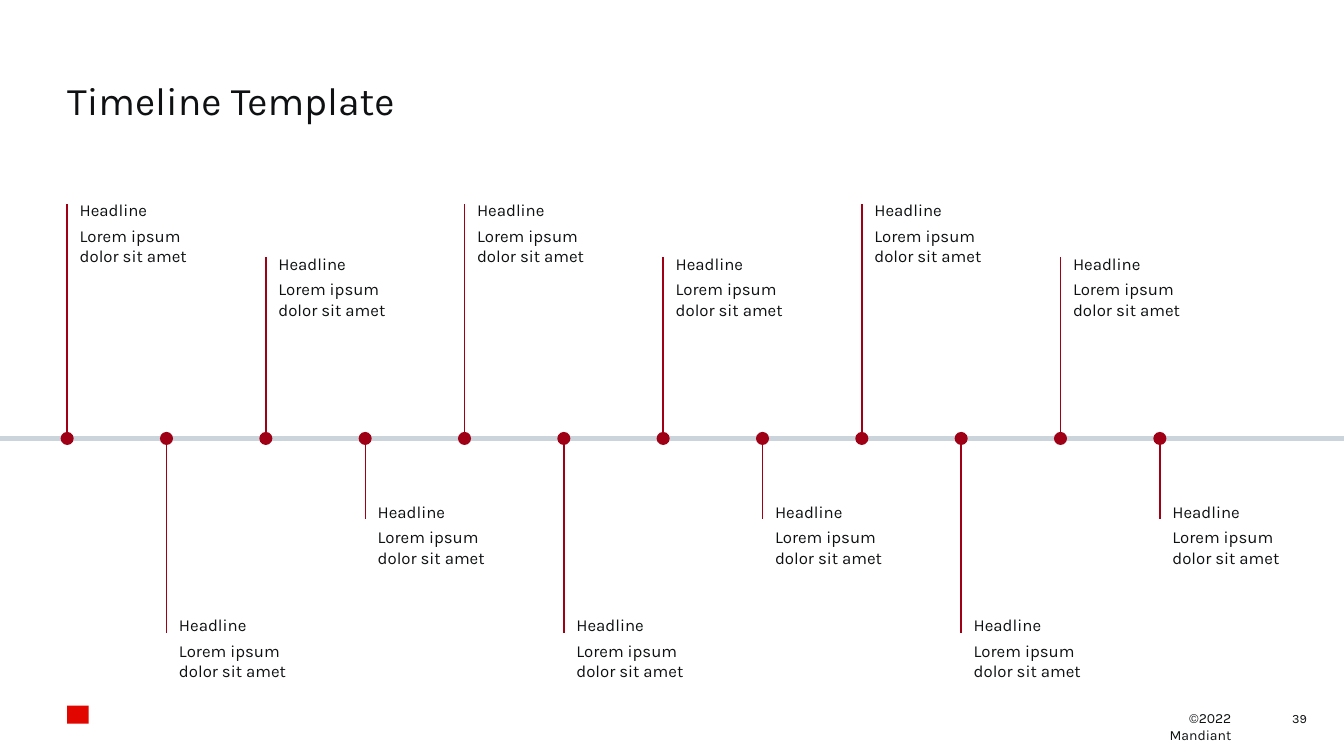
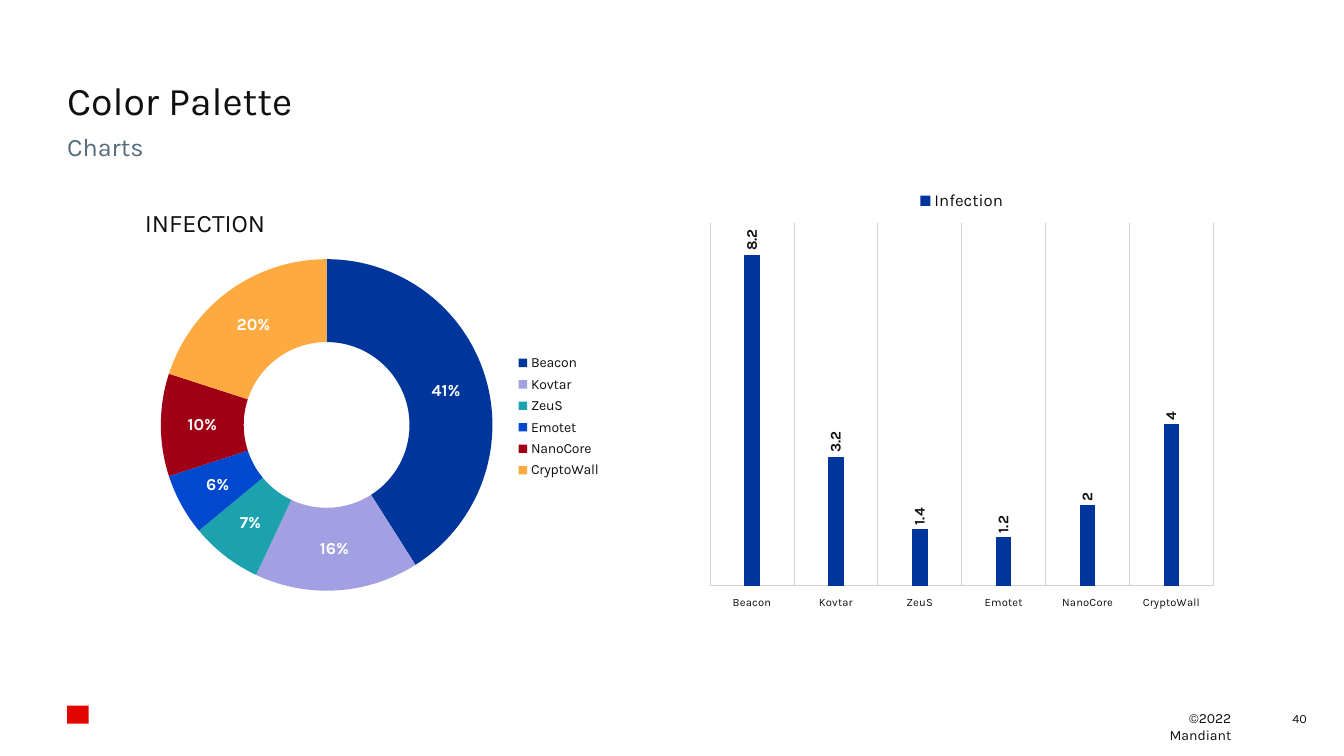
from lxml import etree
from pptx import Presentation
from pptx.chart.data import CategoryChartData
from pptx.dml.color import RGBColor
from pptx.enum.chart import XL_CHART_TYPE as Chart, XL_LABEL_POSITION as LabelPos
from pptx.enum.chart import XL_LEGEND_POSITION as LegendPos, XL_TICK_MARK as Tick
from pptx.enum.chart import XL_TICK_LABEL_POSITION as TickLabel
from pptx.enum.shapes import MSO_CONNECTOR as Connector, MSO_SHAPE as Shape
from pptx.enum.text import MSO_ANCHOR as Anchor, MSO_AUTO_SIZE as AutoSize, PP_ALIGN as Align
from pptx.oxml.ns import qn
from pptx.util import Inches, Pt

FONT = "Karla"
INK, SLATE, RULE = "0E1012", "566A7A", "CCD4DB"
RED, NAVY, WHITE, LOGO_RED = "A00015", "00369B", "FFFFFF", "E10600"
SLICES = [NAVY, "A2A0E2", "1CA2AE", "0048CE", RED, "FEAA41"]
FAMILIES = ["Beacon", "Kovtar", "ZeuS", "Emotet", "NanoCore", "CryptoWall"]

# The slide is a grid of 100 columns by 100 rows.
WIDTH, HEIGHT = Inches(13.33), Inches(7.5)
TITLE_BOX = (5, 3.07, 90, 13.33)
SUBTITLE_BOX = (5, 17.87, 90, 4.53)
LOGO_BOX = (5, 93.33, 1.6, 2.4)
COPYRIGHT_BOX = (85.5, 93.2, 6.85, 5.6)
NUMBER_BOX = (94.15, 92.4, 3.83, 5.33)
TIMELINE_BOX = (5, 26.93, 81.3, 56.8)
DOUGHNUT_BOX = (8.93, 24.53, 37.96, 55.6)
COLUMNS_BOX = (52.06, 23.73, 39, 57.2)


def col(n):
    return round(WIDTH * n / 100)


def row(n):
    return round(HEIGHT * n / 100)


def place(box):
    x, y, w, h = box
    return col(x), row(y), col(w), row(h)


def rgb(color):
    return RGBColor.from_string(color)


def set_font(font, size, color=INK, bold=False):
    font.name, font.size, font.bold = FONT, Pt(size), bold
    font.color.rgb = rgb(color)


def add_text(p, text, size, color=INK):
    r = p.add_run()
    r.text = text
    set_font(r.font, size, color)


def set_frame(tf, margins=(0, 0, 0, 0), anchor=Anchor.TOP):
    tf.word_wrap, tf.auto_size, tf.vertical_anchor = True, AutoSize.NONE, anchor
    tf.margin_left, tf.margin_top, tf.margin_right, tf.margin_bottom = map(Inches, margins)


def add_line(shapes, start, end, color, width):
    line = shapes.add_connector(Connector.STRAIGHT, *start, *end)
    line.line.color.rgb = rgb(color)
    line.line.width = Pt(width)
    etree.SubElement(line._element.spPr, qn("a:effectLst"))


def add_solid(shapes, kind, box, color):
    s = shapes.add_shape(kind, *box)
    s.shadow.inherit = False
    s.fill.solid()
    s.fill.fore_color.rgb = rgb(color)
    s.line.fill.background()


def fill_placeholder(sp, box, text, size, color=INK, anchor=Anchor.TOP):
    sp.left, sp.top, sp.width, sp.height = place(box)
    set_frame(sp.text_frame, anchor=anchor)
    p = sp.text_frame.paragraphs[0]
    pPr = p._p.get_or_add_pPr()
    pPr.set("marL", "0")
    pPr.set("indent", "0")
    etree.SubElement(pPr, qn("a:buNone"))
    p.alignment, p.line_spacing, p.space_before = Align.LEFT, 0.9, Pt(0)
    add_text(p, text, size, color)


def add_footer(s, number):
    add_solid(s.shapes, Shape.RECTANGLE, place(LOGO_BOX), LOGO_RED)
    for box, text, size, anchor in (
        (COPYRIGHT_BOX, "©2022 Mandiant", 10, Anchor.TOP),
        (NUMBER_BOX, str(number), 9, Anchor.MIDDLE),
    ):
        tf = s.shapes.add_textbox(*place(box)).text_frame
        set_frame(tf, (0.1, 0.05, 0.1, 0.05), anchor)
        p = tf.paragraphs[0]
        p.alignment = Align.RIGHT
        add_text(p, text, size)


def new_slide(prs, number, title, subtitle=None):
    s = prs.slides.add_slide(prs.slide_layouts[1 if subtitle else 5])
    fill_placeholder(s.shapes.title, TITLE_BOX, title, 28, anchor=Anchor.BOTTOM)
    if subtitle:
        fill_placeholder(s.placeholders[1], SUBTITLE_BOX, subtitle, 18, SLATE)
    add_footer(s, number)
    return s


def add_event(s, x, axis, end):
    """One dot with its stem and text; the stem runs from axis to end."""
    shapes = s.shapes.add_group_shape().shapes
    add_line(shapes, (x, axis), (x, end), RED, 1)
    d = Inches(0.13)
    add_solid(shapes, Shape.OVAL, (x - d // 2, axis - d // 2, d, d), RED)
    rise = row(0.5) if end < axis else row(2.35)
    tf = shapes.add_textbox(x + col(0.93), end - rise, col(12.4), row(11.2)).text_frame
    set_frame(tf)
    for i, lines in enumerate((["Headline"], ["Lorem ipsum", "dolor sit amet"])):
        p = tf.add_paragraph() if i else tf.paragraphs[0]
        p.space_after = Pt(4)
        for j, line in enumerate(lines):
            if j:
                p.add_line_break()
            add_text(p, line, 12)


def add_timeline(s, box, count=12):
    left, top, width, height = place(box)
    axis = top + round(height * 0.547)
    add_line(s.shapes, (0, axis), (WIDTH, axis), RULE, 3)
    stem_ends = (0, 1, 0.125, 0.735)
    for i in range(count):
        end = top + round(height * stem_ends[i % len(stem_ends)])
        add_event(s, left + round(width * i / (count - 1)), axis, end)


def set_layout(part, index, x, y, w=None, h=None, inner=False):
    """Fix a chart part at shares of the chart, as its child number index."""
    for old in part.findall(qn("c:layout")):
        part.remove(old)
    layout = etree.Element(qn("c:layout"))
    manual = etree.SubElement(layout, qn("c:manualLayout"))
    values = [("layoutTarget", "inner")] if inner else []
    values += [("xMode", "edge"), ("yMode", "edge"), ("x", x), ("y", y)]
    if w:
        values += [("w", w), ("h", h)]
    for tag, value in values:
        etree.SubElement(manual, qn("c:" + tag)).set("val", str(value))
    part.insert(index, layout)


def add_chart(s, kind, box, name, values, plot_area, legend_pos, legend_size):
    data = CategoryChartData()
    data.categories = FAMILIES
    data.add_series(name, values)
    chart = s.shapes.add_chart(kind, *place(box), data).chart
    set_font(chart.font, 10)
    chart.has_title = False
    chart.has_legend = True
    chart.legend.position = legend_pos
    chart.legend.include_in_layout = False
    set_font(chart.legend.font, legend_size)
    set_layout(chart._chartSpace.find(".//" + qn("c:plotArea")), 0, *plot_area, inner=True)
    plot = chart.plots[0]
    plot.has_data_labels = True
    return chart, plot, plot.data_labels


def add_doughnut(s, box):
    chart, plot, labels = add_chart(
        s, Chart.DOUGHNUT, box, "Series 1", (41, 16, 7, 6, 10, 20),
        (0.08, 0.17, 0.65, 0.8), LegendPos.RIGHT, 10)
    chart.has_title = True
    add_text(chart.chart_title.text_frame.paragraphs[0], "INFECTION", 18)
    set_layout(chart.chart_title._element, 1, 0.04, 0.04)
    set_layout(chart.legend._element, 1, 0.76, 0.39, 0.2, 0.32)
    plot._element.find(qn("c:holeSize")).set("val", "70")
    for i, color in enumerate(SLICES):
        fill = plot.series[0].points[i].format.fill
        fill.solid()
        fill.fore_color.rgb = rgb(color)
    labels.show_value, labels.show_percentage = False, True
    labels.number_format, labels.number_format_is_linked = "0%", False
    set_font(labels.font, 12, WHITE, True)


def add_columns(s, box):
    chart, plot, labels = add_chart(
        s, Chart.COLUMN_CLUSTERED, box, "Infection", (8.2, 3.2, 1.4, 1.2, 2, 4),
        (0.02, 0.1, 0.96, 0.84), LegendPos.TOP, 12)
    plot.gap_width, plot.overlap, plot.vary_by_categories = 444, -90, False
    fill = plot.series[0].format.fill
    fill.solid()
    fill.fore_color.rgb = rgb(NAVY)
    labels.show_value, labels.position = True, LabelPos.OUTSIDE_END
    set_font(labels.font, 10.5, INK, True)
    body = labels._element.find(".//" + qn("a:bodyPr"))
    body.set("rot", "-5400000")
    body.set("vert", "horz")
    cats, vals = chart.category_axis, chart.value_axis
    cats.major_tick_mark = Tick.NONE
    cats.tick_label_position = TickLabel.LOW
    set_font(cats.tick_labels.font, 8)
    cats.has_major_gridlines = True
    for line in (cats.format.line, cats.major_gridlines.format.line):
        line.color.rgb = rgb(RULE)
        line.width = Pt(0.75)
    vals.minimum_scale, vals.maximum_scale = 0, 9
    vals.has_major_gridlines = False
    vals.visible = False


def main():
    prs = Presentation()
    prs.slide_width, prs.slide_height = WIDTH, HEIGHT
    add_timeline(new_slide(prs, 39, "Timeline Template"), TIMELINE_BOX)
    s = new_slide(prs, 40, "Color Palette", "Charts")
    add_doughnut(s, DOUGHNUT_BOX)
    add_columns(s, COLUMNS_BOX)
    prs.save("out.pptx")


if __name__ == "__main__":
    main()
